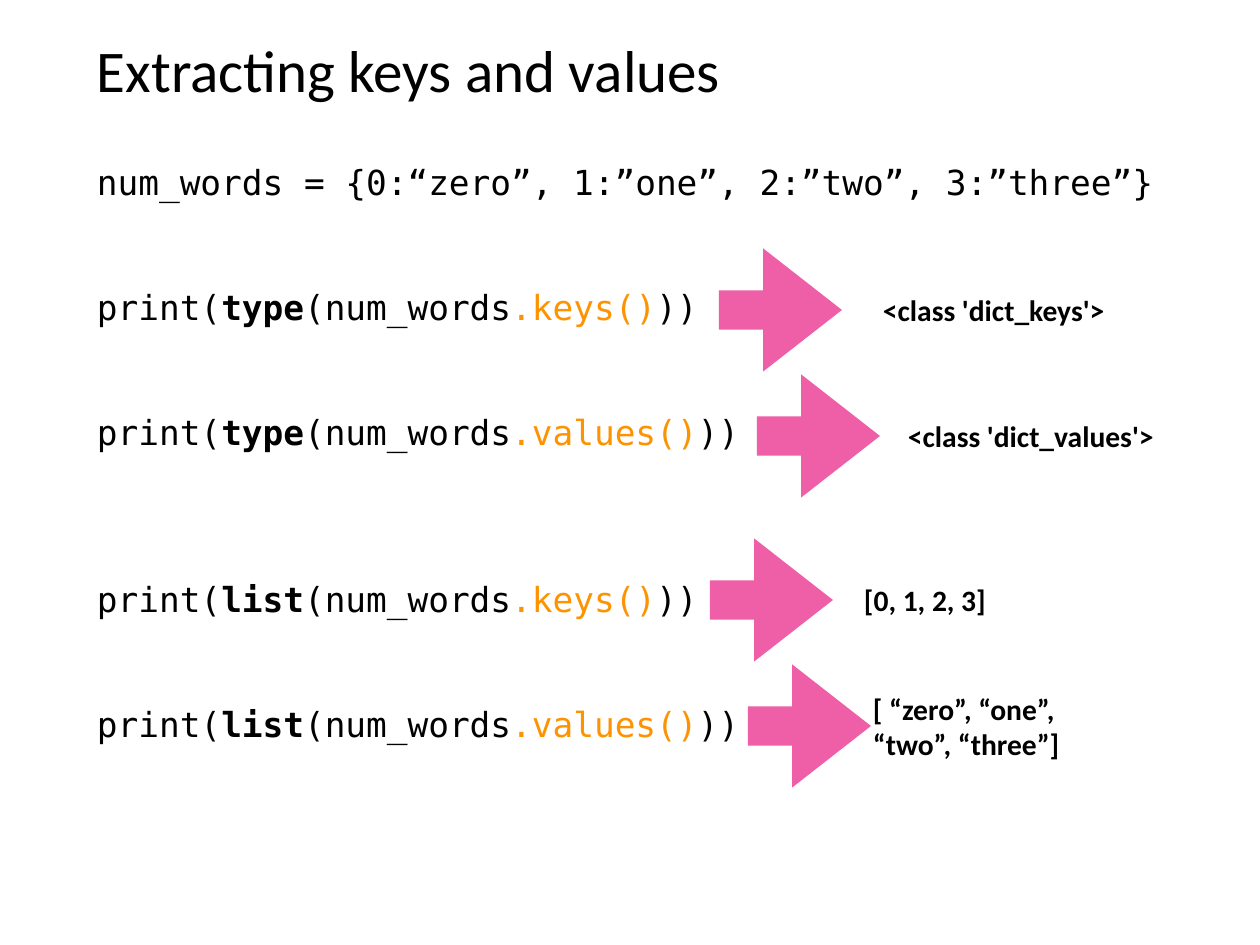
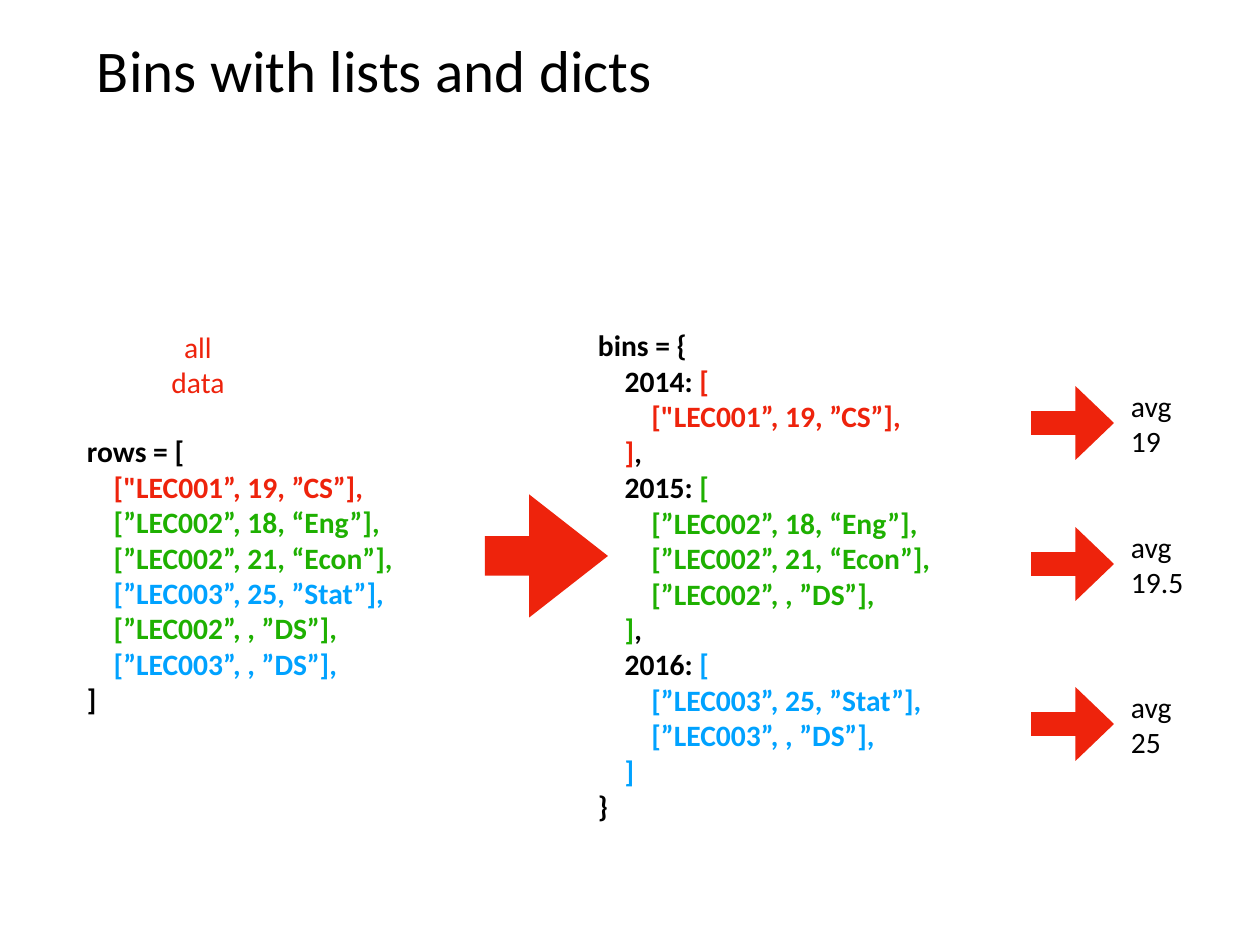
from pptx import Presentation, util as u
from pptx.dml.color import RGBColor
from pptx.enum import shapes, text

PX = u.Inches(1) / 88.6
BLACK = RGBColor(0x00, 0x00, 0x00)
ORANGE = RGBColor(0xFE, 0x93, 0x01)
PINK = RGBColor(0xEF, 0x5F, 0xA7)
RED = RGBColor(0xEE, 0x23, 0x0C)
GREEN = RGBColor(0x1E, 0xB0, 0x01)
BLUE = RGBColor(0x00, 0xA2, 0xFF)
SANS, MONO = "Calibri", "DejaVu Sans Mono"
LEFT, CENTER = text.PP_ALIGN.LEFT, text.PP_ALIGN.CENTER
INSET = 5
BIG_ARROW = (123, 123, 0.32, 0.64)
SMALL_ARROW = (83, 74, 0.319, 0.521)


def write(shape, box, lines, size=24, font=SANS, align=LEFT,
          anchor=text.MSO_ANCHOR.MIDDLE):
    """Place a shape and fill it with lines of (text, colour, bold) runs."""
    shape.left, shape.top, shape.width, shape.height = (round(v * PX) for v in box)
    frame = shape.text_frame
    frame.word_wrap = True
    frame.auto_size = text.MSO_AUTO_SIZE.NONE
    frame.vertical_anchor = anchor
    frame.margin_left = frame.margin_right = round(INSET * PX)
    frame.margin_top = frame.margin_bottom = round(INSET * PX)
    for i, runs in enumerate(lines):
        paragraph = frame.add_paragraph() if i else frame.paragraphs[0]
        paragraph.alignment = align
        for words, colour, bold in runs:
            run = paragraph.add_run()
            run.text = words
            run.font.name, run.font.size = font, u.Pt(size)
            run.font.bold, run.font.color.rgb = bold, colour
    return frame


def add_arrow(slide, left, middle, kind, colour):
    width, height, shaft, head = kind
    arrow = slide.shapes.add_shape(
        shapes.MSO_SHAPE.RIGHT_ARROW, round(left * PX),
        round((middle - height / 2) * PX), round(width * PX), round(height * PX))
    arrow.adjustments[0], arrow.adjustments[1] = shaft, head
    arrow.fill.solid()
    arrow.fill.fore_color.rgb = colour
    arrow.line.fill.background()
    arrow.shadow.inherit = False


deck = Presentation()
deck.slide_width, deck.slide_height = round(1260 * PX), round(945 * PX)

# Titles share one place and style
slides = []
for heading in ("Extracting keys and values", "Bins with lists and dicts"):
    slide = deck.slides.add_slide(deck.slide_layouts[5])
    write(slide.shapes.title, (92, 25, 1076, 88), [[(heading, BLACK, False)]], 48)
    slides.append(slide)
extracting, binning = slides

# Code: the dictionary, then four calls
code = [[("num_words = {0:“zero”, 1:”one”, 2:”two”, 3:”three”}", BLACK, False)]]
for function in ("type", "list"):
    for method in (".keys()", ".values()"):
        code.append([("print(", BLACK, False), (function, BLACK, True),
                     ("(num_words", BLACK, False), (method, ORANGE, False),
                     ("))", BLACK, False)])
code_frame = write(extracting.shapes.add_textbox(0, 0, 0, 0), (92, 156, 1118, 744),
                   code, 28, MONO, anchor=text.MSO_ANCHOR.TOP)
for paragraph, gap in zip(code_frame.paragraphs[1:], (68, 68, 102, 68)):
    paragraph.space_before = u.Pt(gap)

# What each call prints
for arrow_left, middle, output_left, output in (
        (719, 310, 878, ["<class 'dict_keys'>"]),
        (757, 436, 903, ["<class 'dict_values'>"]),
        (710, 600, 859, ["[0, 1, 2, 3]"]),
        (748, 726, 868, ["[ “zero”, “one”,", "“two”, “three”]"])):
    add_arrow(extracting, arrow_left, middle, BIG_ARROW, PINK)
    write(extracting.shapes.add_textbox(0, 0, 0, 0),
          (output_left, middle - 41, 300, 82),
          [[(line, BLACK, True)] for line in output])

# All rows, coloured by the bin they belong to
YEARS = {2014: RED, 2015: GREEN, 2016: BLUE}
RECORDS = [
    (2014, "[\"LEC001”, 19, ”CS”],"),
    (2015, "[”LEC002”, 18, “Eng”],"),
    (2015, "[”LEC002”, 21, “Econ”],"),
    (2016, "[”LEC003”, 25, ”Stat”],"),
    (2015, "[”LEC002”, , ”DS”],"),
    (2016, "[”LEC003”, , ”DS”],"),
]
INDENT = " " * 4
rows = [[("rows = [", BLACK, True)]]
rows += [[(INDENT + record, YEARS[year], True)] for year, record in RECORDS]
rows.append([("]", BLACK, True)])
write(binning.shapes.add_textbox(0, 0, 0, 0), (165, 323, 66, 82),
      [[("all data", RED, False)]], align=CENTER)
write(binning.shapes.add_textbox(0, 0, 0, 0), (82, 427, 400, 296), rows)
add_arrow(binning, 485, 556, BIG_ARROW, RED)

# The same rows sorted into one bin per year
bins = [[("bins = {", BLACK, True)]]
for year, colour in YEARS.items():
    bins.append([(f"{INDENT}{year}: ", BLACK, True), ("[", colour, True)])
    bins += [[(INDENT * 2 + record, colour, True)]
             for record_year, record in RECORDS if record_year == year]
    bins.append([(INDENT + "]", colour, True)])
    if year != max(YEARS):
        bins[-1].append((",", BLACK, True))
bins.append([("}", BLACK, True)])
write(binning.shapes.add_textbox(0, 0, 0, 0), (593, 320, 430, 511), bins)

# Average of each bin
for middle, average in ((423, "19"), (564, "19.5"), (724, "25")):
    add_arrow(binning, 1031, middle, SMALL_ARROW, RED)
    write(binning.shapes.add_textbox(0, 0, 0, 0), (1126, middle - 41, 72, 82),
          [[("avg " + average, BLACK, False)]])

deck.save("out.pptx")
